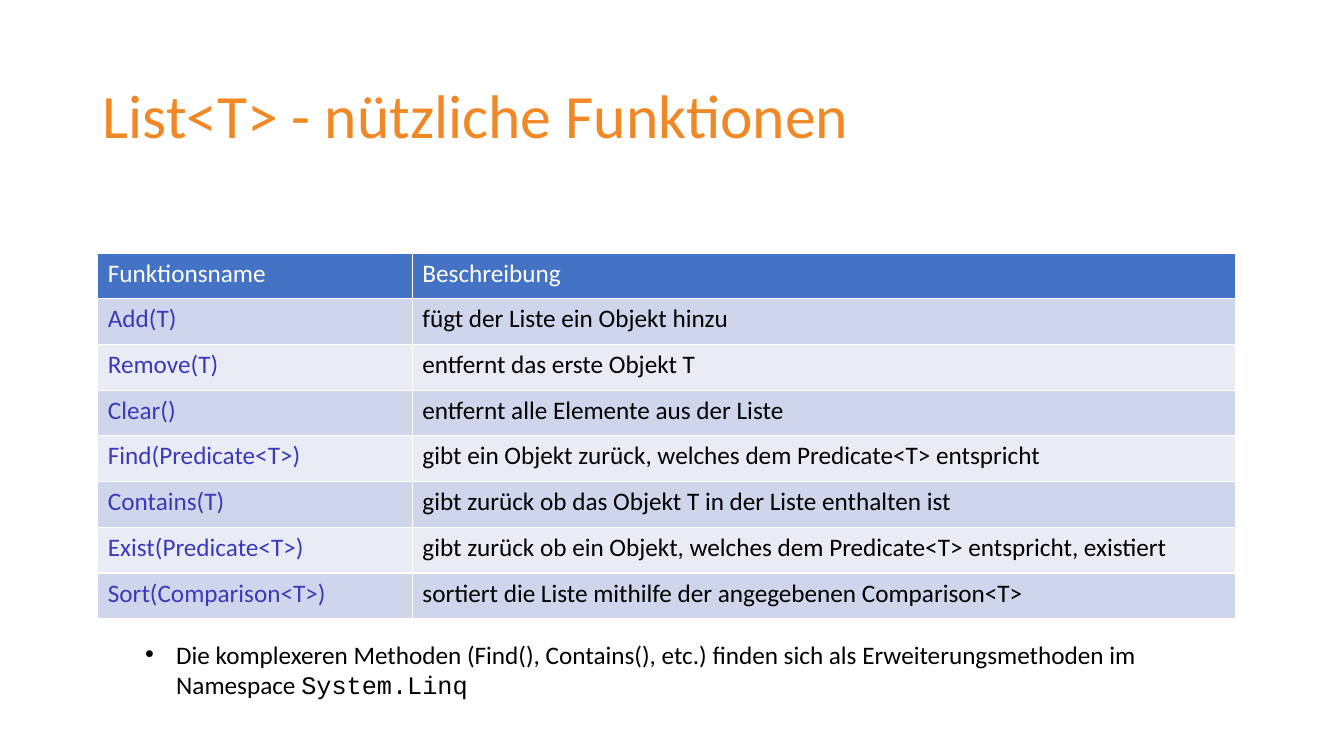
import lxml.etree
import pptx
import pptx.dml.color
import pptx.enum.text
import pptx.oxml
import pptx.oxml.ns
import pptx.util

Inches = pptx.util.Inches

THEME = {
    "title": "F18826", "header": "4472C4", "bands": ("CFD5EA", "E9EBF5"),
    "function": "3A3AB9", "text": "000000", "light": "FFFFFF",
    "title_size": 44, "body_size": 18, "font": "Calibri", "code_font": "Courier New",
}


def color(name):
    return pptx.dml.color.RGBColor.from_string(name)


def write(paragraph, text, size=THEME["body_size"], ink=THEME["text"], font=THEME["font"]):
    run = paragraph.add_run()
    run.text = text
    run.font.size = pptx.util.Pt(size)
    run.font.name = font
    run.font.bold = False
    run.font.color.rgb = color(ink)


presentation = pptx.Presentation()
presentation.slide_width = Inches(13.33)
presentation.slide_height = Inches(7.5)
slide = presentation.slides.add_slide(presentation.slide_layouts[6])

# Title
title = slide.shapes.add_textbox(Inches(0.92), Inches(0.5), Inches(11.5), Inches(1.35)).text_frame
title.word_wrap = True
title.vertical_anchor = pptx.enum.text.MSO_ANCHOR.MIDDLE
title.paragraphs[0].line_spacing = 0.9
write(title.paragraphs[0], "List<T> - nützliche Funktionen",
      size=THEME["title_size"], ink=THEME["title"])

# Table of functions
FUNCTIONS = [
    ("Funktionsname", "Beschreibung"),
    ("Add(T)", "fügt der Liste ein Objekt hinzu"),
    ("Remove(T)", "entfernt das erste Objekt T"),
    ("Clear()", "entfernt alle Elemente aus der Liste"),
    ("Find(Predicate<T>)", "gibt ein Objekt zurück, welches dem Predicate<T> entspricht"),
    ("Contains(T)", "gibt zurück ob das Objekt T in der Liste enthalten ist"),
    ("Exist(Predicate<T>)",
     "gibt zurück ob ein Objekt, welches dem Predicate<T> entspricht, existiert"),
    ("Sort(Comparison<T>)", "sortiert die Liste mithilfe der angegebenen Comparison<T>"),
]
functions = slide.shapes.add_table(len(FUNCTIONS), 2, Inches(0.97), Inches(2.51),
                                   Inches(11.29), Inches(3.63)).table
functions.first_row = False
functions.horz_banding = False
functions.columns[0].width = Inches(3.12)
functions.columns[1].width = Inches(8.17)

for row, entry in enumerate(FUNCTIONS):
    for column, text in enumerate(entry):
        cell = functions.cell(row, column)
        if row == 0:
            fill, ink = THEME["header"], THEME["light"]
        else:
            fill = THEME["bands"][(row - 1) % 2]
            ink = THEME["text"] if column else THEME["function"]
        write(cell.text_frame.paragraphs[0], text, ink=ink)
        # Thin white borders go before the fill in the cell properties
        properties = cell._tc.get_or_add_tcPr()
        for side in "LRTB":
            properties.append(pptx.oxml.parse_xml(
                f'<a:ln{side} {pptx.oxml.ns.nsdecls("a")} w="12700"><a:solidFill>'
                f'<a:srgbClr val="{THEME["light"]}"/></a:solidFill></a:ln{side}>'))
        cell.fill.solid()
        cell.fill.fore_color.rgb = color(fill)

# Bulleted remark
remark = slide.shapes.add_textbox(Inches(1.34), Inches(6.29), Inches(11.16), Inches(0.71)).text_frame
remark.word_wrap = True
remark.auto_size = pptx.enum.text.MSO_AUTO_SIZE.SHAPE_TO_FIT_TEXT
paragraph = remark.paragraphs[0]
write(paragraph, "Die komplexeren Methoden (Find(), Contains(), etc.) finden sich "
                 "als Erweiterungsmethoden im Namespace ")
write(paragraph, "System.Linq", font=THEME["code_font"])
bullet = paragraph._p.get_or_add_pPr()
bullet.set("marL", str(Inches(0.31)))
bullet.set("indent", str(-Inches(0.31)))
lxml.etree.SubElement(bullet, pptx.oxml.ns.qn("a:buFont"), typeface="Arial")
lxml.etree.SubElement(bullet, pptx.oxml.ns.qn("a:buChar"), char="•")

presentation.save("out.pptx")
